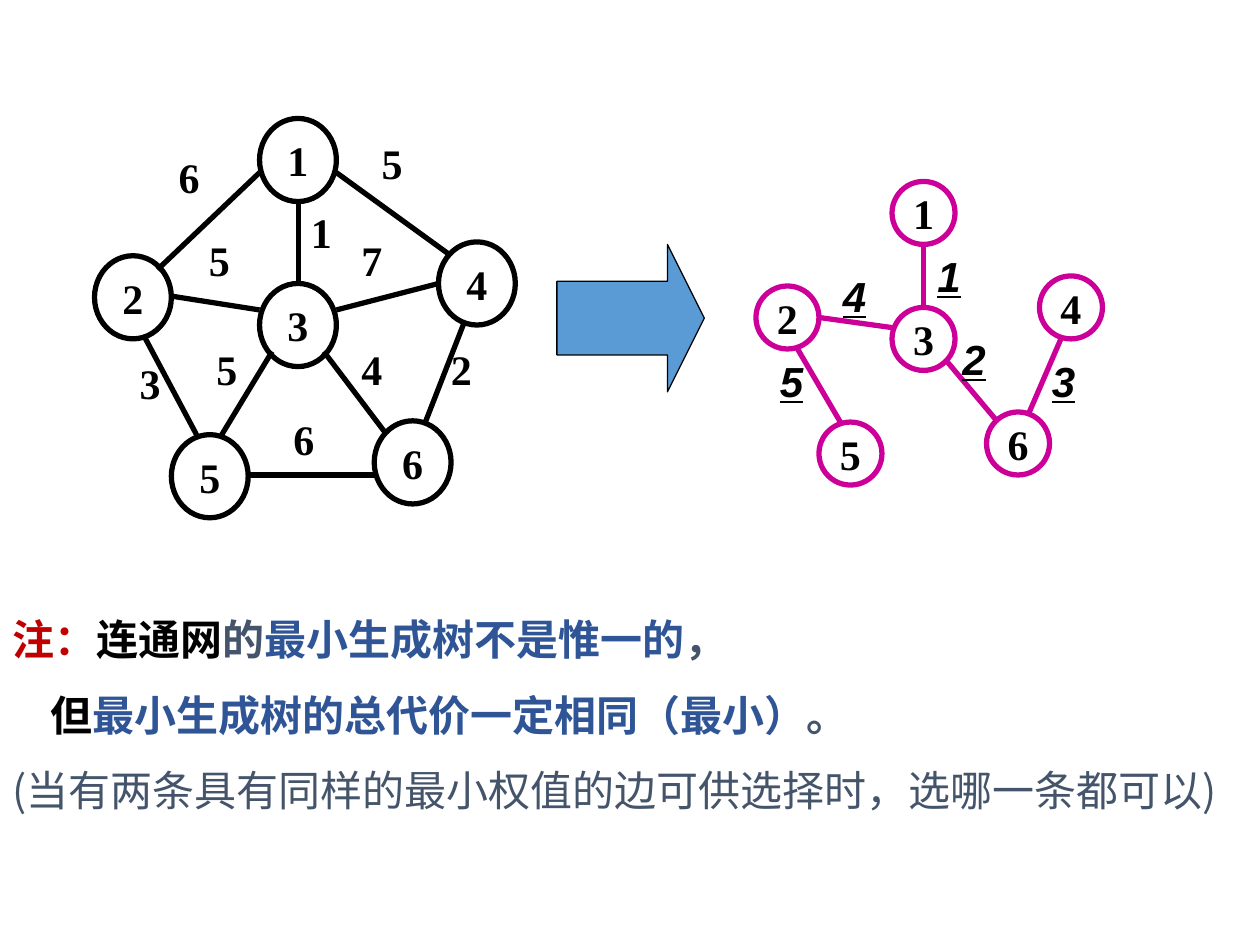
from dataclasses import dataclass

from lxml import etree
from pptx import Presentation
from pptx import util as u
from pptx.dml.color import RGBColor
from pptx.enum import shapes, text
from pptx.oxml import ns


@dataclass(frozen=True)
class Theme:
    """Colours, fonts and sizes of the slide."""
    ink: str = "000000"
    tree: str = "CC0099"
    arrow: str = "5B9BD5"
    alert: str = "C00000"
    body: str = "44546A"
    accent: str = "2F5597"
    serif: str = "Times New Roman"
    sans: str = "Arial"
    chinese: str = "Noto Sans CJK SC"
    size: float = 24
    stroke: float = 3
    outline: float = 0.75


THEME = Theme()

NETWORK_NODES = {
    "1": (2.06, 0.94), "4": (3.48, 1.92), "6": (2.97, 3.34),
    "5": (1.36, 3.45), "2": (0.75, 2.03), "3": (2.06, 2.25),
}
NETWORK_EDGES = [
    (2.06, 1.37, 1.25, 2.14), (1.15, 2.68, 1.56, 3.45),
    (1.96, 3.77, 2.97, 3.77), (3.68, 2.57, 3.38, 3.34),
    (2.67, 1.37, 3.58, 2.03), (2.37, 1.59, 2.37, 2.25),
    (2.16, 2.79, 1.76, 3.45), (2.57, 2.79, 3.07, 3.45),
    (2.67, 2.46, 3.48, 2.25), (1.36, 2.35, 2.06, 2.46),
]
NETWORK_WEIGHTS = [
    ("1", 2.37, 1.59), ("5", 2.93, 1.04), ("6", 1.32, 1.15),
    ("7", 2.77, 1.81), ("5", 1.56, 1.81), ("4", 2.77, 2.68),
    ("5", 1.62, 2.68), ("3", 1.01, 2.79), ("6", 2.23, 3.23),
    ("2", 3.48, 2.68),
]
TREE_NODES = {
    "3": (7.08, 2.44), "6": (7.83, 3.27), "4": (8.25, 2.19),
    "2": (6, 2.27), "5": (6.5, 3.35), "1": (7.08, 1.44),
}
TREE_EDGES = [
    (7.33, 1.94, 7.33, 2.44), (7.5, 2.85, 7.92, 3.35),
    (8.42, 2.69, 8.17, 3.27), (6.5, 2.52, 7.08, 2.6),
    (6.33, 2.77, 6.67, 3.35),
]
TREE_WEIGHTS = [
    ("1", 7.34, 1.94), ("2", 7.54, 2.6), ("3", 8.25, 2.77),
    ("4", 6.59, 2.1), ("5", 6.09, 2.77),
]
NOTE_LINES = [
    (0, True, [("注：", THEME.alert), ("连通网", THEME.ink), ("的", THEME.body),
               ("最小生成树不是惟一的", THEME.accent), ("，", THEME.body)]),
    (0.3, True, [("但", THEME.ink),
                 ("最小生成树的总代价一定相同（最小）", THEME.accent),
                 ("。", THEME.body)]),
    (0, False, [("(当有两条具有同样的最小权值的边可供选择时，选哪一条都可以)",
                 THEME.body)]),
]


def write(paragraph, words, font=THEME.serif, color=THEME.ink, bold=True,
          slanted=False):
    """Add a formatted run; slanted means italic and underlined."""
    run = paragraph.add_run()
    run.text = words
    style = run.font
    style.name, style.size, style.bold = font, u.Pt(THEME.size), bold
    style.color.rgb = RGBColor.from_string(color)
    if slanted:
        style.italic = style.underline = True
    if font == THEME.chinese:
        east_asian = etree.SubElement(run._r.get_or_add_rPr(), ns.qn("a:ea"))
        east_asian.set("typeface", font)


def stroke(line, color, width):
    """Set the colour and width of a line."""
    line.color.rgb = RGBColor.from_string(color)
    line.width = u.Pt(width)


def add_node(canvas, label, corner, size, color):
    """Draw a hollow numbered vertex."""
    node = canvas.add_shape(shapes.MSO_SHAPE.OVAL,
                            *map(u.Inches, (*corner, *size)))
    node.shadow.inherit = False
    node.fill.background()
    stroke(node.line, color, THEME.stroke)
    frame = node.text_frame
    frame.word_wrap = False
    frame.vertical_anchor = text.MSO_ANCHOR.MIDDLE
    frame.paragraphs[0].alignment = text.PP_ALIGN.CENTER
    write(frame.paragraphs[0], label)


def add_edge(canvas, ends, color):
    """Draw a straight edge between two vertices."""
    edge = canvas.add_connector(shapes.MSO_CONNECTOR.STRAIGHT,
                                *map(u.Inches, ends))
    stroke(edge.line, color, THEME.stroke)
    etree.SubElement(edge._element.spPr, ns.qn("a:effectLst"))


def add_weight(canvas, label, left, top, width, **style):
    """Place the weight of an edge."""
    weight = canvas.add_textbox(*map(u.Inches, (left, top, width, 0.5)))
    frame = weight.text_frame
    frame.word_wrap = False
    frame.auto_size = text.MSO_AUTO_SIZE.SHAPE_TO_FIT_TEXT
    write(frame.paragraphs[0], label, **style)


def add_graph(slide, nodes, edges, weights, node_size, color, weight_width,
              **style):
    """Draw a weighted graph as one group."""
    canvas = slide.shapes.add_group_shape().shapes
    for ends in edges:
        add_edge(canvas, ends, color)
    for label, corner in nodes.items():
        add_node(canvas, label, corner, node_size, color)
    for label, left, top in weights:
        add_weight(canvas, label, left, top, weight_width, **style)


def add_arrow(slide):
    """Draw the block arrow from the network to its tree."""
    arrow = slide.shapes.add_shape(shapes.MSO_SHAPE.RIGHT_ARROW,
                                   *map(u.Inches, (4.42, 1.94, 1.17, 1.17)))
    arrow.adjustments[0], arrow.adjustments[1] = 0.5, 0.25
    arrow.shadow.inherit = False
    arrow.fill.solid()
    arrow.fill.fore_color.rgb = RGBColor.from_string(THEME.arrow)
    stroke(arrow.line, THEME.ink, THEME.outline)


def add_note(slide):
    """Write the remark below the graphs."""
    note = slide.shapes.add_textbox(*map(u.Inches, (0, 4.62, 9.82, 2.5)))
    frame = note.text_frame
    frame.word_wrap = True
    frame.auto_size = text.MSO_AUTO_SIZE.SHAPE_TO_FIT_TEXT
    for index, (indent, bold, parts) in enumerate(NOTE_LINES):
        paragraph = frame.add_paragraph() if index else frame.paragraphs[0]
        paragraph.line_spacing = 1.5
        if indent:
            paragraph._p.get_or_add_pPr().set("marL", str(u.Inches(indent)))
        for words, color in parts:
            write(paragraph, words, font=THEME.chinese, color=color, bold=bold)


def main():
    """Build and save the slide."""
    deck = Presentation()
    deck.slide_width, deck.slide_height = u.Inches(10), u.Inches(7.5)
    slide = deck.slides.add_slide(deck.slide_layouts[6])
    add_note(slide)
    add_graph(slide, NETWORK_NODES, NETWORK_EDGES, NETWORK_WEIGHTS,
              (0.61, 0.66), THEME.ink, 0.36)
    add_arrow(slide)
    add_graph(slide, TREE_NODES, TREE_EDGES, TREE_WEIGHTS,
              (0.5, 0.5), THEME.tree, 0.38, font=THEME.sans, slanted=True)
    deck.save("out.pptx")


if __name__ == "__main__":
    main()
